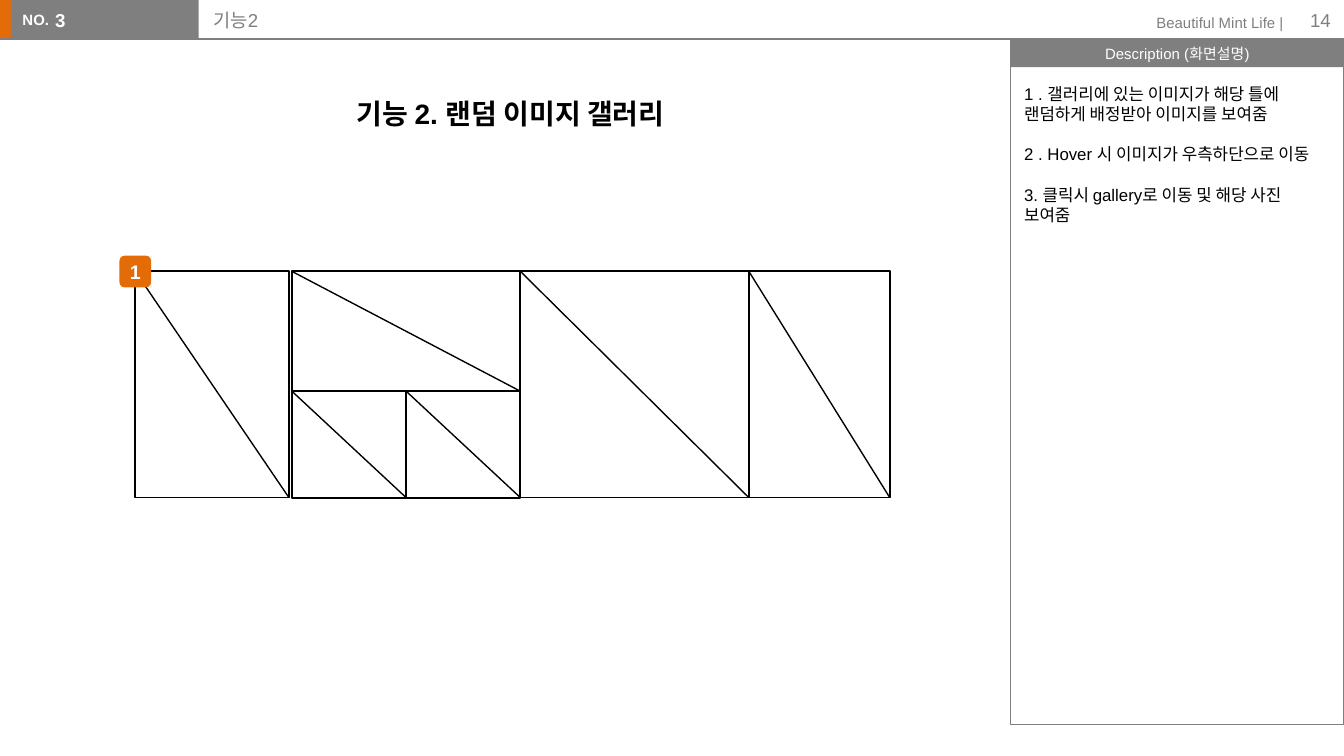
from lxml import etree
from pptx import Presentation
from pptx.dml.color import RGBColor
from pptx.enum.shapes import MSO_CONNECTOR, MSO_SHAPE
from pptx.enum.text import MSO_ANCHOR, MSO_AUTO_SIZE, PP_ALIGN
from pptx.oxml.ns import qn
from pptx.util import Pt

RECT, ROUNDED = MSO_SHAPE.RECTANGLE, MSO_SHAPE.ROUNDED_RECTANGLE
STRAIGHT = MSO_CONNECTOR.STRAIGHT
LEFT, CENTER, RIGHT = PP_ALIGN.LEFT, PP_ALIGN.CENTER, PP_ALIGN.RIGHT
TOP, MIDDLE = MSO_ANCHOR.TOP, MSO_ANCHOR.MIDDLE
NO_FIT = MSO_AUTO_SIZE.NONE

GRAY, ORANGE, BLACK, WHITE = "7F7F7F", "E36C09", "000000", "FFFFFF"


def rgb(value):
    return RGBColor.from_string(value)


class Storyboard:
    font = "Arial"

    def __init__(self, slide):
        self.slide = slide

    def fill_text(self, shape, lines, size, color, bold=False, align=LEFT, anchor=TOP,
                  inset=(7.2, 3.6), gap=0, margin=0, indent=0, spacing=1.0):
        frame = shape.text_frame
        frame.text = "\n".join(lines)
        frame.word_wrap = True
        frame.auto_size = NO_FIT
        frame.vertical_anchor = anchor
        frame.margin_left = frame.margin_right = Pt(inset[0])
        frame.margin_top = frame.margin_bottom = Pt(inset[1])
        for index, paragraph in enumerate(frame.paragraphs):
            properties = paragraph._p.get_or_add_pPr()
            properties.set("marL", str(Pt(margin)))
            properties.set("indent", str(Pt(indent)))
            etree.SubElement(properties, qn("a:buNone"))
            paragraph.alignment = align
            paragraph.line_spacing = spacing
            paragraph.space_before = Pt(gap if index else 0)
            for run in paragraph.runs:
                run.font.name = self.font
                run.font.size = Pt(size)
                run.font.bold = bold
                run.font.color.rgb = rgb(color)

    def box(self, bounds, fill=None, line=None, width=0.75, kind=RECT, shapes=None):
        shapes = shapes or self.slide.shapes
        shape = shapes.add_shape(kind, *map(Pt, bounds))
        shape.shadow.inherit = False
        if fill:
            shape.fill.solid()
            shape.fill.fore_color.rgb = rgb(fill)
        else:
            shape.fill.background()
        if line:
            shape.line.color.rgb = rgb(line)
            shape.line.width = Pt(width)
        else:
            shape.line.fill.background()
        return shape

    def line(self, start, end, color, shapes=None):
        shapes = shapes or self.slide.shapes
        connector = shapes.add_connector(STRAIGHT, *map(Pt, (*start, *end)))
        connector.line.color.rgb = rgb(color)
        connector.line.width = Pt(0.75)
        etree.SubElement(connector.element.spPr, qn("a:effectLst"))

    def text(self, bounds, words, size, color, **style):
        label = self.slide.shapes.add_textbox(*map(Pt, bounds))
        self.fill_text(label, [words], size, color, **style)

    def placeholder(self, index, bounds, lines, size, color, **style):
        holder = self.slide.placeholders[index]
        holder.left, holder.top, holder.width, holder.height = map(Pt, bounds)
        self.fill_text(holder, lines, size, color, inset=(7.2, 7.2), **style)
        # Bring in front of the header bars
        self.slide.shapes.element.append(holder.element)

    def image_frame(self, left, top, right, bottom):
        shapes = self.slide.shapes.add_group_shape().shapes
        # The first box goes into a still empty group
        frame = (left, top, right - left, bottom - top)
        self.box(frame, line=BLACK, width=1, shapes=shapes)
        self.line((left, top), (right, bottom), BLACK, shapes)


def main():
    deck = Presentation()
    deck.slide_width, deck.slide_height = Pt(720), Pt(405)
    two_content = deck.slide_layouts[3]
    board = Storyboard(deck.slides.add_slide(two_content))

    # Header
    header_bottom = 20.9
    board.box((-0.7, 0, 8.6, header_bottom), fill=ORANGE)
    board.box((5.8, 0, 100.6, header_bottom), fill=GRAY)
    board.text((5, 2.2, 30, 17.3), "NO.", 8, WHITE, bold=True)
    board.line((0, header_bottom), (551.5, header_bottom), GRAY)
    board.text((585.4, 3.6, 109.4, 17.3), "Beautiful Mint Life |", 8, GRAY, align=RIGHT)
    board.text((676.8, 0, 43.2, 21.6), "14", 10, GRAY, align=RIGHT, anchor=MIDDLE)
    board.placeholder(0, (107.3, 0, 403.9, 21.6), ["기능2"], 10, GRAY, anchor=MIDDLE)
    board.placeholder(1, (22.3, 0, 79.2, 21.6), ["3"], 10, WHITE, bold=True,
                      anchor=MIDDLE)

    # Description panel
    panel_left, panel_width = 541.4, 178.6
    panel_title = board.box((panel_left, header_bottom, panel_width, 15.1), fill=GRAY)
    board.fill_text(panel_title, ["Description (화면설명)"], 8, WHITE, align=CENTER,
                    anchor=MIDDLE, inset=(6.5, 2.9))
    board.box((panel_left, header_bottom, panel_width, 367.2), line=GRAY)
    board.placeholder(2, (panel_left, 37.4, panel_width, 349.9), [
        "1 . 갤러리에 있는 이미지가 해당 틀에 랜덤하게 배정받아 이미지를 보여줌",
        "2 . Hover 시 이미지가 우측하단으로 이동",
        "3. 클릭시 gallery로 이동 및 해당 사진 보여줌",
    ], 9, BLACK, gap=10.8)

    # Screen heading
    board.text((0, 37.4, panel_left, 38.2), "기능 2. 랜덤 이미지 갤러리", 15, BLACK,
               bold=True, align=CENTER, anchor=MIDDLE, margin=22.3, indent=-16.6,
               spacing=1.5)

    # Image gallery: the middle columns share one half-width step
    top, middle, bottom = 145.4, 209.6, 266.6
    step = 61.2
    column = [156.4 + step * n for n in range(5)]
    for bounds in (
        (72.5, top, 154.8, bottom),
        (column[0], top, column[2], middle),
        (column[2], top, column[4], bottom),
        (column[0], middle, column[1], bottom),
        (column[1], middle, column[2], bottom),
        (column[4], top, 476.7, bottom),
    ):
        board.image_frame(*bounds)

    # Callout badge
    badge = board.box((64, 137, 17, 17), fill=ORANGE, kind=ROUNDED)
    board.fill_text(badge, ["1"], 10.5, WHITE, bold=True, align=CENTER, anchor=MIDDLE,
                    inset=(0, 3.6))

    deck.save("out.pptx")


if __name__ == "__main__":
    main()
